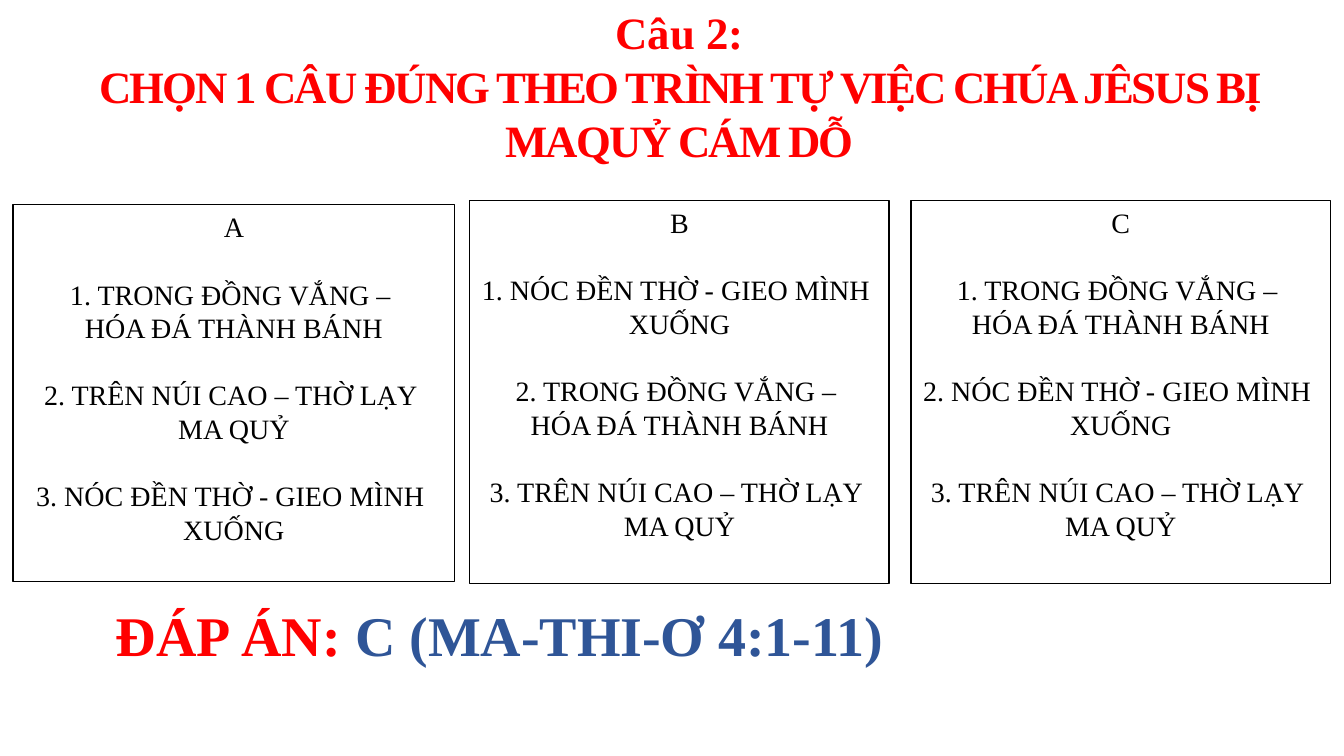
from pptx import Presentation
from pptx.dml.color import RGBColor
from pptx.enum.shapes import MSO_SHAPE as SHAPE
from pptx.enum.text import MSO_ANCHOR as ANCHOR, MSO_AUTO_SIZE as AUTO, PP_ALIGN as ALIGN
from pptx.util import Cm, Pt

COLORS = {"red": "FF0000", "blue": "2F5597", "black": "000000", "white": "FFFFFF"}


def add_run(p, text, size, color, bold=False):
    r = p.add_run()
    r.text = text
    formats = {"name": "Times New Roman", "size": Pt(size), "bold": bold}
    for name, value in formats.items():
        setattr(r.font, name, value)
    r.font.color.rgb = RGBColor.from_string(COLORS[color])


def set_frame(tf, wrap):
    formats = {"word_wrap": wrap, "auto_size": AUTO.NONE, "vertical_anchor": ANCHOR.TOP,
               "margin_left": Cm(0.25), "margin_right": Cm(0.25),
               "margin_top": Cm(0.13), "margin_bottom": Cm(0.13)}
    for name, value in formats.items():
        setattr(tf, name, value)


prs = Presentation()
prs.slide_width, prs.slide_height = Cm(33.87), Cm(19.05)
s = prs.slides.add_slide(prs.slide_layouts[5])

# Question
title = s.shapes.title
title.left, title.top, title.width, title.height = Cm(0.38), Cm(0), Cm(33.5), Cm(4.37)
title.fill.solid()
title.fill.fore_color.rgb = RGBColor.from_string(COLORS["white"])
tf = title.text_frame
set_frame(tf, True)
question = ["Câu 2:", "CHỌN 1 CÂU ĐÚNG THEO TRÌNH TỰ VIỆC CHÚA JÊSUS BỊ MAQUỶ CÁM DỖ"]
for i, line in enumerate(question):
    p = tf.add_paragraph() if i else tf.paragraphs[0]
    p.alignment = ALIGN.CENTER
    p.space_before = Pt(0)
    add_run(p, line, 32, "red", True)
# Tighter letter spacing on the second line
title.element.xpath(".//a:rPr")[-1].set("spc", "-150")

# Three choices, each with its own order of the temptations
DESERT = ["TRONG ĐỒNG VẮNG – ", "HÓA ĐÁ THÀNH BÁNH"]
TEMPLE = ["NÓC ĐỀN THỜ - GIEO MÌNH ", "XUỐNG"]
MOUNTAIN = ["TRÊN NÚI CAO – THỜ LẠY ", "MA QUỶ"]
choices = [
    ("A", (0.33, 5.16, 11.13, 9.5), [DESERT, MOUNTAIN, TEMPLE]),
    ("B", (11.84, 5.05, 10.57, 9.65), [TEMPLE, DESERT, MOUNTAIN]),
    ("C", (22.96, 5.05, 10.57, 9.65), [DESERT, TEMPLE, MOUNTAIN]),
]
for letter, box, events in choices:
    sp = s.shapes.add_shape(SHAPE.RECTANGLE, *map(Cm, box))
    sp.shadow.inherit = False
    sp.fill.solid()
    sp.fill.fore_color.rgb = RGBColor.from_string(COLORS["white"])
    sp.line.color.rgb = RGBColor.from_string(COLORS["black"])
    sp.line.width = Pt(1)
    tf = sp.text_frame
    set_frame(tf, False)
    p = tf.paragraphs[0]
    p.alignment = ALIGN.CENTER
    add_run(p, letter, 20, "black")
    for number, (place, act) in enumerate(events, 1):
        for text, gap in ((f"{number}. {place}", 24), (act, 0)):
            p = tf.add_paragraph()
            p.alignment = ALIGN.CENTER
            p.space_before = Pt(gap)
            add_run(p, text, 20, "black")

# Answer
answer = s.shapes.add_textbox(Cm(2.67), Cm(15.01), Cm(30.33), Cm(1.96))
tf = answer.text_frame
set_frame(tf, True)
p = tf.paragraphs[0]
add_run(p, "ĐÁP ÁN: ", 40, "red", True)
add_run(p, "C (MA-THI-Ơ 4:1-11)", 40, "blue", True)

prs.save("out.pptx")
